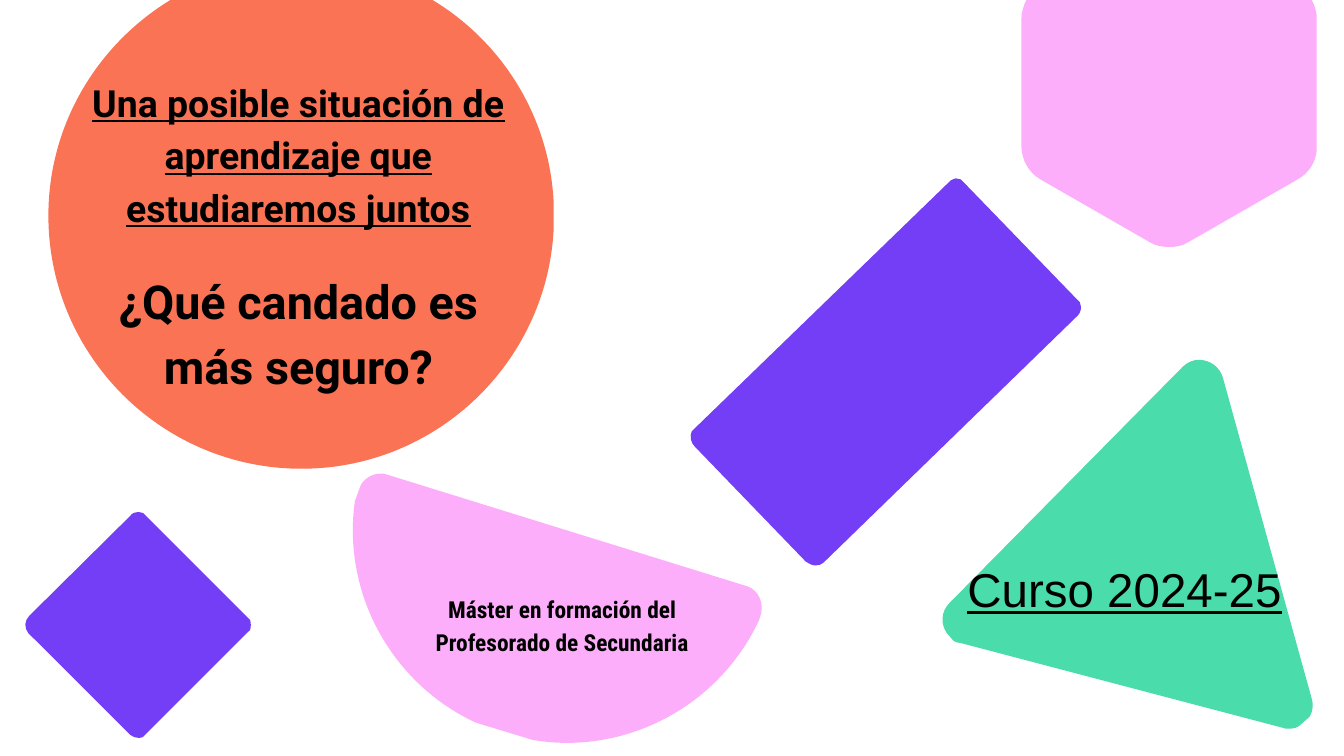
from dataclasses import dataclass
from itertools import islice

from lxml.etree import SubElement
from pptx import Presentation
from pptx.dml.color import RGBColor
from pptx.enum.text import MSO_ANCHOR, MSO_AUTO_SIZE, PP_ALIGN
from pptx.oxml.ns import qn
from pptx.shapes.autoshape import Shape
from pptx.slide import Slide
from pptx.util import Inches, Pt

VIOLET, ORANGE, GREEN, PINK = "733EF6", "F97354", "4BDCAB", "FCAEFB"

Point = tuple[float, float]
Segment = tuple[float, ...]


@dataclass(frozen=True)
class Figure:
    color: str
    start: Point
    segments: list[Segment]


@dataclass(frozen=True)
class Caption:
    text: str
    place: tuple[float, float, float, float]
    size: float
    spacing: float
    font: str
    bold: bool = True
    underline: bool = False
    wrap: bool = True


DIAMOND = Figure(VIOLET, (1.37, 5.08), [
    (1.34, 5.08, 1.31, 5.09, 1.29, 5.12),
    (0.29, 6.11),
    (0.24, 6.16, 0.24, 6.23, 0.28, 6.28),
    (1.29, 7.29),
    (1.32, 7.31, 1.34, 7.32, 1.37, 7.32),
    (1.39, 7.32, 1.41, 7.32, 1.42, 7.31),
    (2.48, 6.25),
    (2.49, 6.22, 2.49, 6.18, 2.48, 6.15),
    (1.42, 5.09),
    (1.41, 5.09, 1.39, 5.08, 1.37, 5.08),
])
TILTED_BAR = Figure(VIOLET, (9.48, 1.77), [
    (9.47, 1.77, 9.45, 1.78, 9.43, 1.79),
    (6.86, 4.28),
    (6.84, 4.33, 6.85, 4.39, 6.89, 4.43),
    (7.99, 5.57),
    (8.02, 5.59, 8.05, 5.61, 8.09, 5.61),
    (8.12, 5.61, 8.15, 5.6, 8.17, 5.58),
    (10.69, 3.13),
    (10.72, 3.1, 10.73, 3.05, 10.71, 3),
    (9.53, 1.78),
    (9.51, 1.78, 9.5, 1.77, 9.48, 1.77),
])
CUT_CIRCLE = Figure(ORANGE, (1.69, 0), [
    (0.97, 0.44, 0.48, 1.23, 0.48, 2.14),
    (0.48, 3.52, 1.6, 4.65, 2.99, 4.65),
    (4.32, 4.65, 5.41, 3.61, 5.49, 2.3),
    (5.49, 1.98),
    (5.44, 1.14, 4.97, 0.41, 4.29, 0),
])
TRIANGLE = Figure(GREEN, (11.89, 3.57), [
    (11.84, 3.57, 11.78, 3.59, 11.73, 3.64),
    (9.42, 5.98),
    (9.33, 6.07, 9.33, 6.19, 9.39, 6.28),
    (9.46, 6.36),
    (9.48, 6.37, 9.5, 6.38, 9.53, 6.38),
    (12.72, 7.22),
    (12.74, 7.23, 12.76, 7.23, 12.78, 7.23),
    (12.83, 7.23, 12.87, 7.22, 12.9, 7.19),
    (12.99, 7.11),
    (13.02, 7.06, 13.03, 6.99, 13.01, 6.93),
    (12.13, 3.75),
    (12.1, 3.64, 12, 3.57, 11.89, 3.57),
])
CUT_HEXAGON = Figure(PINK, (10.18, 0), [
    (10.15, 0.06, 10.13, 0.13, 10.13, 0.2),
    (10.13, 1.44),
    (10.13, 1.58, 10.2, 1.71, 10.32, 1.78),
    (11.4, 2.4),
    (11.46, 2.44, 11.53, 2.45, 11.6, 2.45),
    (11.66, 2.45, 11.73, 2.44, 11.79, 2.4),
    (12.87, 1.78),
    (12.98, 1.72, 13.05, 1.61, 13.06, 1.49),
    (13.06, 0.15),
    (13.05, 0.1, 13.04, 0.05, 13.01, 0),
])
HALF_DISC = Figure(PINK, (3.77, 4.7), [
    (3.7, 4.7, 3.62, 4.74, 3.58, 4.81),
    (3.52, 4.97),
    (3.39, 5.88, 3.88, 6.78, 4.72, 7.17),
    (5.28, 7.34),
    (5.39, 7.36, 5.51, 7.37, 5.62, 7.37),
    (6.43, 7.37, 7.18, 6.9, 7.53, 6.15),
    (7.55, 6.08),
    (7.57, 5.97, 7.52, 5.86, 7.42, 5.82),
    (3.81, 4.7),
    (3.8, 4.7, 3.79, 4.7, 3.77, 4.7),
])
FIGURES = [DIAMOND, TILTED_BAR, CUT_CIRCLE, TRIANGLE, CUT_HEXAGON, HALF_DISC]

CAPTIONS = [
    Caption("Máster en formación del Profesorado de Secundaria",
            (4.24, 5.86, 2.67, 0.63), 16.7, 23.3, "Roboto Condensed"),
    Caption("Curso 2024-25", (9.59, 5.46, 3.13, 0.71), 33.9, 47.5, "Arial",
            bold=False, underline=True, wrap=False),
    Caption("Una posible situación de aprendizaje que estudiaremos juntos",
            (0.82, 0.72, 4.28, 1.54), 26.7, 37.4, "Roboto", underline=True),
    Caption("¿Qué candado es más seguro?",
            (0.7, 2.61, 4.52, 1.28), 33.4, 46.8, "Roboto"),
]


def rgb(color: str) -> RGBColor:
    return RGBColor.from_string(color)


def corners(segment: Segment) -> list[Point]:
    return list(zip(segment[::2], segment[1::2]))


def bend_curves(shape: Shape, segments: list[Segment]) -> None:
    outline = next(shape.element.iter(qn("a:path")))
    lines = iter(outline.findall(qn("a:lnTo")))
    for segment in segments:
        first, *rest = islice(lines, len(corners(segment)))
        if rest:
            curve = SubElement(outline, qn("a:cubicBezTo"))
            first.addprevious(curve)
            for line in (first, *rest):
                curve.append(line[0])
                outline.remove(line)


def draw_figure(page: Slide, figure: Figure) -> Shape:
    builder = page.shapes.build_freeform(*map(Inches, figure.start))
    builder.add_line_segments(
        [(Inches(x), Inches(y)) for segment in figure.segments for x, y in corners(segment)])
    shape = builder.convert_to_shape()
    bend_curves(shape, figure.segments)
    shape.shadow.inherit = False
    shape.fill.solid()
    shape.fill.fore_color.rgb = rgb(figure.color)
    shape.line.fill.background()
    return shape


def add_text(page: Slide, text: str, *, place: tuple[float, float, float, float],
             size: float, spacing: float, font: str, bold: bool,
             underline: bool, wrap: bool, color: str = "000000") -> Shape:
    box = page.shapes.add_textbox(*map(Inches, place))
    frame = box.text_frame
    frame.word_wrap = wrap
    frame.auto_size = MSO_AUTO_SIZE.NONE
    frame.vertical_anchor = MSO_ANCHOR.TOP
    frame.margin_left = frame.margin_right = 0
    frame.margin_top = frame.margin_bottom = 0
    para = frame.paragraphs[0]
    para.alignment = PP_ALIGN.CENTER
    para.line_spacing = Pt(spacing)
    span = para.add_run()
    span.text = text
    span.font.name = font
    span.font.size = Pt(size)
    span.font.bold = bold
    span.font.underline = underline
    span.font.color.rgb = rgb(color)
    return box


def main() -> None:
    deck = Presentation()
    deck.slide_width, deck.slide_height = Inches(13.33), Inches(7.5)
    page = deck.slides.add_slide(deck.slide_layouts[6])
    for figure in FIGURES:
        draw_figure(page, figure)
    for caption in CAPTIONS:
        add_text(page, caption.text, place=caption.place, size=caption.size,
                 spacing=caption.spacing, font=caption.font, bold=caption.bold,
                 underline=caption.underline, wrap=caption.wrap)
    deck.save("out.pptx")


if __name__ == "__main__":
    main()
